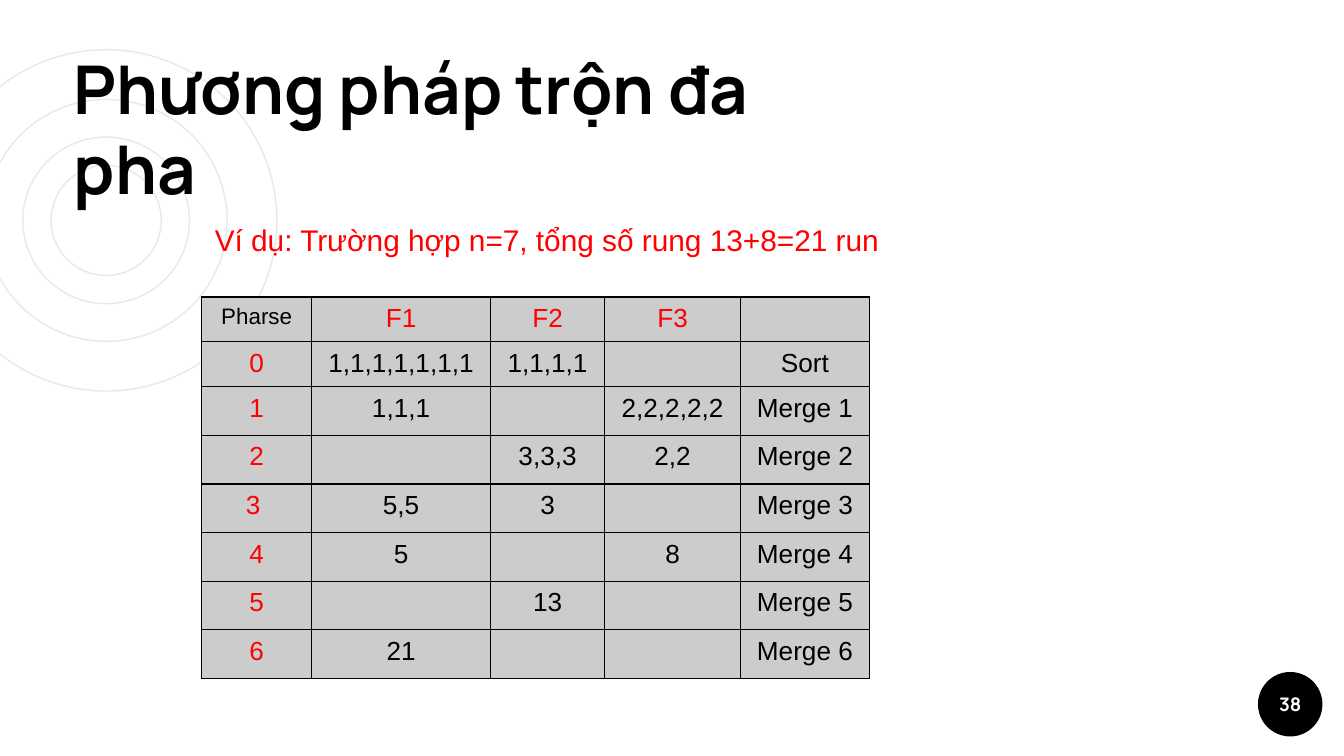
import pptx
import pptx.util
import pptx.oxml.ns
import pptx.dml.color
import pptx.enum.shapes
import pptx.enum.text
from lxml import etree

COLORS = {"ink": "000000", "paper": "FFFFFF", "ring": "E8E8E8",
          "cell": "CCCCCC", "red": "FF0000"}
WIDE, HIGH = 100, 56.25  # grid columns and rows
ALIGN = pptx.enum.text.PP_ALIGN
ANCHOR = pptx.enum.text.MSO_ANCHOR


def unit(n):
    """Length of n grid steps; a step is a hundredth of the slide width."""
    return pptx.util.Inches(n * 10 / WIDE)


def color(name):
    return pptx.dml.color.RGBColor.from_string(COLORS[name])


class Deck:
    def __init__(self):
        self.file = pptx.Presentation()
        self.file.slide_width, self.file.slide_height = unit(WIDE), unit(HIGH)
        self.slide = self.file.slides.add_slide(self.file.slide_layouts[6])
        self.head, self.body = "Manrope", "Arial"

    def label(self, frame, text, size, tint, font, bold=False, align=ALIGN.LEFT):
        frame.text = text
        par = frame.paragraphs[0]
        par.alignment = align
        for run in par.runs:
            run.font.size = pptx.util.Pt(size)
            run.font.name = font
            run.font.bold = bold
            run.font.color.rgb = color(tint)

    def disc(self, x, y, size, fill=None, line=None):
        """Circle centred on x, y."""
        left, top = x - size / 2, y - size / 2
        disc = self.slide.shapes.add_shape(
            pptx.enum.shapes.MSO_SHAPE.OVAL, *map(unit, (left, top, size, size)))
        disc.shadow.inherit = False
        if fill:
            disc.fill.solid()
            disc.fill.fore_color.rgb = color(fill)
        else:
            disc.fill.background()
        if line:
            disc.line.color.rgb = color(line)
            disc.line.width = pptx.util.Pt(0.75)
        else:
            disc.line.fill.background()
        return disc

    def badge(self, x, y, size, text):
        frame = self.disc(x, y, size, fill="ink").text_frame
        frame.margin_left = frame.margin_right = 0
        frame.margin_top = frame.margin_bottom = 0
        frame.vertical_anchor = ANCHOR.MIDDLE
        self.label(frame, text, 10, "paper", self.head, True, ALIGN.CENTER)

    def text(self, box, text, size, tint, font, bold=False, anchor=ANCHOR.TOP, pad=0.5):
        frame = self.slide.shapes.add_textbox(*map(unit, box)).text_frame
        frame.word_wrap = True
        frame.vertical_anchor = anchor
        frame.margin_left = frame.margin_right = unit(1)
        frame.margin_top = frame.margin_bottom = unit(pad)
        self.label(frame, text, size, tint, font, bold)

    def border(self, cell):
        prop = cell._tc.get_or_add_tcPr()
        tag = pptx.oxml.ns.qn
        for spot, side in enumerate(("a:lnL", "a:lnR", "a:lnT", "a:lnB")):
            line = etree.Element(tag(side), w=str(pptx.util.Pt(0.75)))
            fill = etree.SubElement(line, tag("a:solidFill"))
            etree.SubElement(fill, tag("a:srgbClr"), val=COLORS["ink"])
            prop.insert(spot, line)

    def table(self, left, top, cols, rows, data):
        grid = self.slide.shapes.add_table(
            len(rows), len(cols), *map(unit, (left, top, sum(cols), sum(rows)))).table
        grid.first_row = grid.horz_banding = False
        for col, width in zip(grid.columns, cols):
            col.width = unit(width)
        for row, height in zip(grid.rows, rows):
            row.height = unit(height)
        for r, line in enumerate(data):
            for c, text in enumerate(line):
                cell = grid.cell(r, c)
                cell.fill.solid()
                cell.fill.fore_color.rgb = color("cell")
                self.border(cell)
                # The corner is small and black, other headings are red
                corner = r == c == 0
                red = (r == 0 or c == 0) and not corner
                self.label(cell.text_frame, text, 12 if corner else 14,
                           "red" if red else "ink", self.body, align=ALIGN.CENTER)
                if not text:  # keeps empty cells from stretching their row
                    etree.SubElement(cell.text_frame.paragraphs[0]._p,
                                     pptx.oxml.ns.qn("a:endParaRPr"), sz="1400")


def main():
    deck = Deck()

    # Rings behind the title
    for size in (25.4, 12.4, 18, 8.2):
        deck.disc(7.9, 16.4, size, line="ring")

    # Page number
    deck.badge(96, 52.4, 4.8, "38")

    # Title
    deck.text((4.5, 9, 57.1, 7.5), "Phương pháp trộn đa pha", 36, "ink",
              deck.head, True, ANCHOR.BOTTOM, pad=1)

    # Merge phases
    data = [
        ("Pharse", "F1", "F2", "F3", ""),
        ("0", "1,1,1,1,1,1,1", "1,1,1,1", "", "Sort"),
        ("1", "1,1,1", "", "2,2,2,2,2", "Merge 1"),
        ("2", "", "3,3,3", "2,2", "Merge 2"),
        ("3 ", "5,5", "3", "", "Merge 3"),
        ("4", "5", "", "8", "Merge 4"),
        ("5", "", "13", "", "Merge 5"),
        ("6", "21", "", "", "Merge 6"),
    ]
    deck.table(15, 22.1, (8.2, 13.3, 8.5, 10.1, 9.6),
               [3.25] * 2 + [3.62] * 6, data)

    # Example line
    deck.text((15, 16, 54.2, 3.7), "Ví dụ: Trường hợp n=7, tổng số rung 13+8=21 run",
              16, "red", deck.body)

    deck.file.save("out.pptx")


if __name__ == "__main__":
    main()
